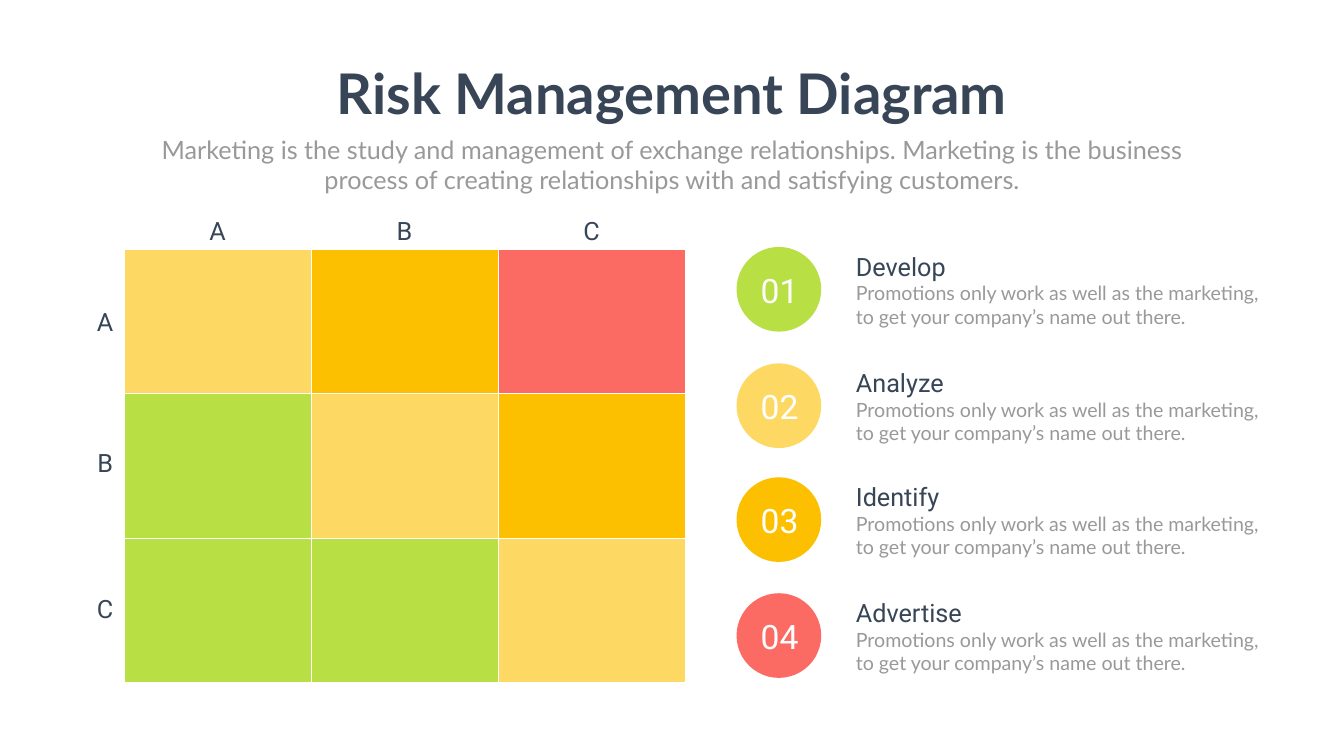
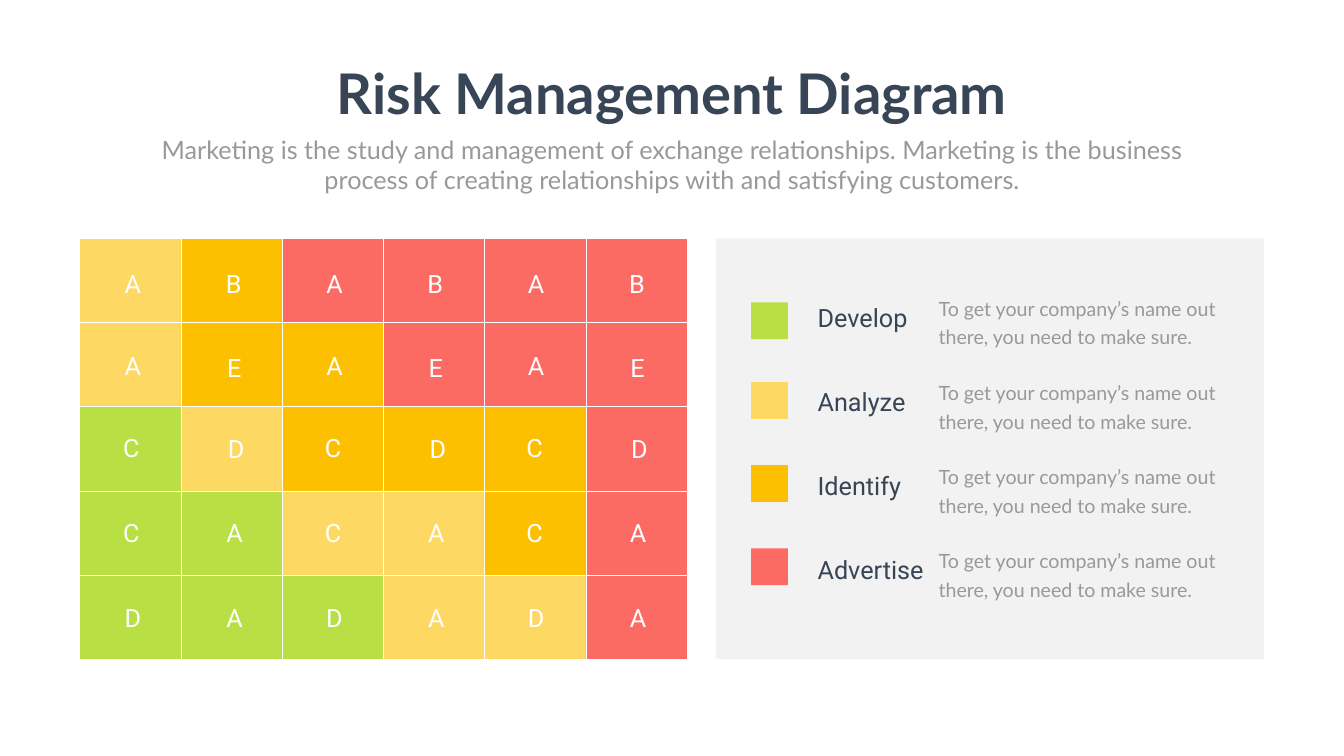
"""Build two risk management matrix slides."""
from lxml import etree
from pptx import Presentation
from pptx.dml.color import RGBColor
from pptx.enum.shapes import MSO_SHAPE
from pptx.enum.text import MSO_AUTO_SIZE, PP_ALIGN
from pptx.oxml.ns import qn
from pptx.util import Inches, Pt

RECT, OVAL = MSO_SHAPE.RECTANGLE, MSO_SHAPE.OVAL
LEFT, CENTER = PP_ALIGN.LEFT, PP_ALIGN.CENTER
FIT = MSO_AUTO_SIZE.SHAPE_TO_FIT_TEXT

COLORS = {
    "green": "B8DF43", "yellow": "FDD964", "amber": "FCC000", "red": "FB6B64",
    "ink": "374556", "gray": "999999", "white": "FFFFFF",
    "back": "FEFFFE", "panel": "808080",
}
LEVELS = {"G": "green", "Y": "yellow", "O": "amber", "R": "red"}
STYLES = {
    "title": ({"name": "Lato", "size": Pt(80), "bold": True}, "ink", CENTER),
    "subtitle": ({"name": "Lato", "size": Pt(36)}, "gray", CENTER),
    "axis": ({"name": "Roboto", "size": Pt(36)}, "ink", CENTER),
    "cell": ({"name": "Roboto", "size": Pt(36)}, "white", CENTER),
    "number": ({"name": "Roboto", "size": Pt(48)}, "white", CENTER),
    "head": ({"name": "Roboto", "size": Pt(36)}, "ink", LEFT),
    "body": ({"name": "Lato", "size": Pt(28)}, "gray", LEFT),
}
STEPS = [("Develop", "green"), ("Analyze", "yellow"),
         ("Identify", "amber"), ("Advertise", "red")]


def add_box(s, kind, x, y, w, h, fill, line=None):
    sp = s.shapes.add_shape(kind, Inches(x), Inches(y), Inches(w), Inches(h))
    sp.shadow.inherit = False
    sp.fill.solid()
    sp.fill.fore_color.rgb = RGBColor.from_string(COLORS[fill])
    if line:
        sp.line.color.rgb = RGBColor.from_string(COLORS[line])
        sp.line.width = Pt(1)
    else:
        sp.line.fill.background()
    return sp


def add_text(s, text, x, y, w, h, style, wrap=True, spacing=None):
    font, color, align = STYLES[style]
    tf = s.shapes.add_textbox(Inches(x), Inches(y), Inches(w), Inches(h)).text_frame
    tf.word_wrap = wrap
    tf.auto_size = FIT
    p = tf.paragraphs[0]
    p.alignment = align
    if spacing:
        p.line_spacing = spacing
    r = p.add_run()
    r.text = text
    for name, value in font.items():
        setattr(r.font, name, value)
    r.font.color.rgb = RGBColor.from_string(COLORS[color])


prs = Presentation()
prs.slide_width, prs.slide_height = Inches(26.66), Inches(15)

GRIDS = [
    (2.46, 4.95, 11.13, 8.59, ["YOR", "GYO", "GGY"]),
    (1.58, 4.73, 12.05, 8.35, ["YORRRR", "YOORRR", "GYOOOR", "GGYYOR", "GGGYYR"]),
]
slides = []
for left, top, width, height, rows in GRIDS:
    s = prs.slides.add_slide(prs.slide_layouts[6])
    slides.append(s)
    s.background.fill.solid()
    s.background.fill.fore_color.rgb = RGBColor.from_string(COLORS["back"])
    add_text(s, "Risk Management Diagram", 6.46, 1.12, 13.74, 1.45, "title", wrap=False)
    add_text(s, "Marketing is the study and management of exchange relationships. "
             "Marketing is the business process of creating relationships with and "
             "satisfying customers.", 2.92, 2.61, 20.82, 1.31, "subtitle")
    w, h = width / len(rows[0]), height / len(rows)
    for i, row in enumerate(rows):
        for j, level in enumerate(row):
            add_box(s, RECT, left + j * w, top + i * h, w, h, LEVELS[level], "white")

s = slides[0]
for i, (label, y) in enumerate(zip("ABC", [6.02, 8.82, 11.72])):
    add_text(s, label, 3.74 + i * 3.71, 4.22, 1.15, 0.71, "axis")
    add_text(s, label, 1.51, y, 1.15, 0.71, "axis")

for i, ((name, color), y) in enumerate(zip(STEPS, [4.9, 7.21, 9.47, 11.77]), 1):
    add_box(s, OVAL, 14.61, y, 1.68, 1.68, color)
    add_text(s, f"{i:02}", 14.98, y + 0.4, 0.97, 0.91, "number", wrap=False)
    add_text(s, name, 16.88, y + 0.03, 5.72, 0.71, "head")
    add_text(s, "Promotions only work as well as the marketing, to get your "
             "company’s name out there.", 16.88, y + 0.63, 8.27, 1.04, "body")

s = slides[1]
LETTERS = [
    ("A", 2.01, 5.27), ("B", 4.01, 5.27), ("A", 2.01, 6.91), ("E", 4.02, 6.94),
    ("C", 1.98, 8.52), ("D", 4.06, 8.55), ("C", 1.98, 10.22), ("A", 4.03, 10.22),
    ("D", 2.01, 11.91), ("A", 4.03, 11.91),
]
for pair in range(3):
    for letter, x, y in LETTERS:
        add_text(s, letter, x + pair * 4, y, 1.25, 0.73, "cell")

panel = add_box(s, RECT, 14.2, 4.73, 10.87, 8.35, "panel")
srgb = panel.fill._xPr.find(qn("a:solidFill")).find(qn("a:srgbClr"))
etree.SubElement(srgb, qn("a:alpha")).set("val", "10000")

for i, ((name, color), y) in enumerate(zip(STEPS, [6, 7.58, 9.23, 10.88])):
    add_box(s, RECT, 14.9, y, 0.73, 0.73, color)
    add_text(s, name, 16.12, 5.94 + i * 1.67, 5.72, 0.71, "head")
    add_text(s, "To get your company’s name out there, you need to make sure.",
             18.52, 5.74 + i * 1.67, 5.72, 1.09, "body", spacing=Pt(40.8))

prs.save("out.pptx")
